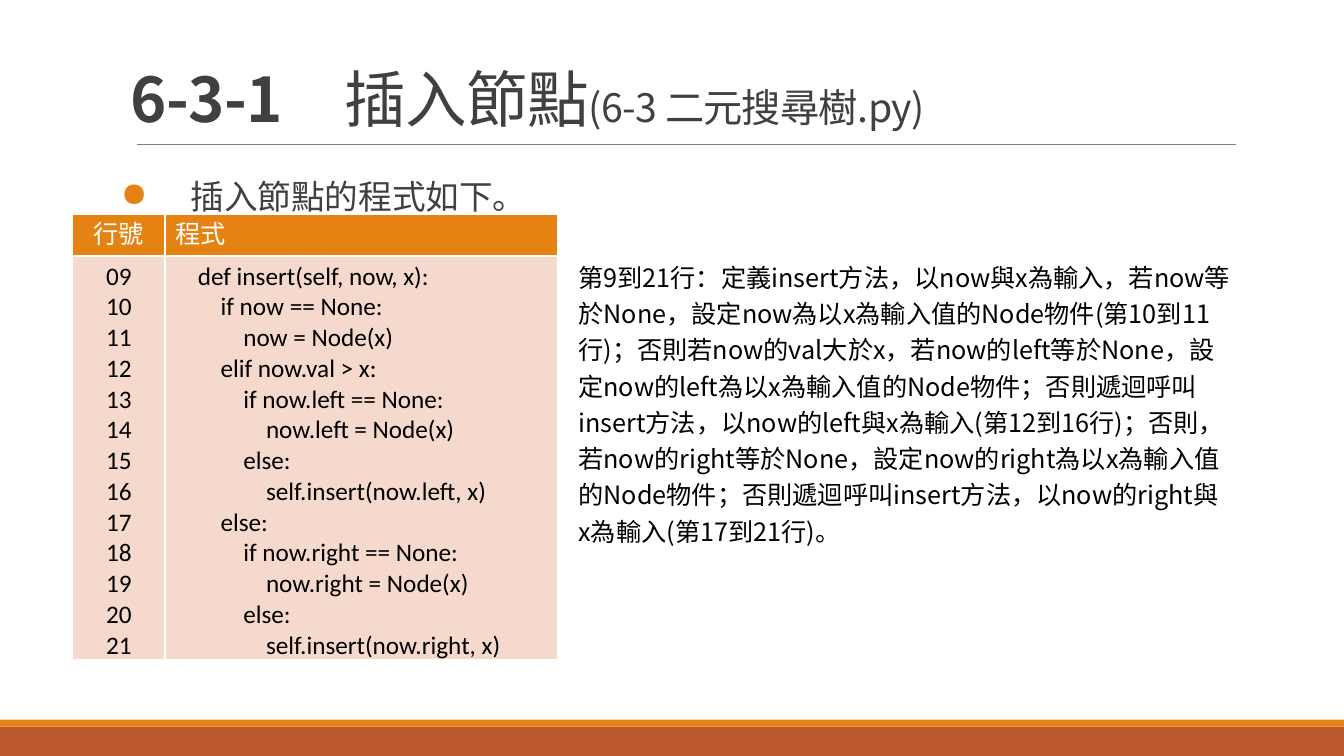
from lxml import etree
from pptx import Presentation
from pptx.dml.color import RGBColor
from pptx.enum.shapes import MSO_CONNECTOR, MSO_SHAPE
from pptx.enum.text import MSO_ANCHOR, PP_ALIGN
from pptx.oxml.ns import qn
from pptx.util import Pt

RECTANGLE = MSO_SHAPE.RECTANGLE
STRAIGHT = MSO_CONNECTOR.STRAIGHT
BOTTOM = MSO_ANCHOR.BOTTOM
LEFT, CENTER = PP_ALIGN.LEFT, PP_ALIGN.CENTER

ORANGE = RGBColor(0xE4, 0x83, 0x12)
RUST = RGBColor(0xBD, 0x58, 0x2C)
PINK = RGBColor(0xF5, 0xD9, 0xCC)
CHARCOAL = RGBColor(0x40, 0x40, 0x40)
GRAY = RGBColor(0x80, 0x80, 0x80)
BLACK = RGBColor(0, 0, 0)
WHITE = RGBColor(0xFF, 0xFF, 0xFF)

HEADING_FONT = "Noto Sans CJK SC"
CODE_FONT = "Calibri"

FIRST_LINE = 9
CODE = """\
    def insert(self, now, x):
        if now == None:
            now = Node(x)
        elif now.val > x:
            if now.left == None:
                now.left = Node(x)
            else:
                self.insert(now.left, x)
        else:
            if now.right == None:
                now.right = Node(x)
            else:
                self.insert(now.right, x)"""

EXPLANATION = (
    "第9到21行：定義insert方法，以now與x為輸入，若now等於None，"
    "設定now為以x為輸入值的Node物件(第10到11行)；否則若now的val大於x，"
    "若now的left等於None，設定now的left為以x為輸入值的Node物件；"
    "否則遞迴呼叫insert方法，以now的left與x為輸入(第12到16行)；"
    "否則，若now的right等於None，設定now的right為以x為輸入值的Node物件；"
    "否則遞迴呼叫insert方法，以now的right與x為輸入(第17到21行)。"
)


def style_paragraph(para, font_name, size, color):
    """Set the paragraph's font for both Latin and East Asian text."""
    font = para.font
    font.name, font.size = font_name, Pt(size)
    font.color.rgb = color
    properties = para._p.pPr.find(qn("a:defRPr"))
    latin = properties.find(qn("a:latin"))
    east_asian = etree.Element(qn("a:ea"), typeface=font_name)
    latin.addnext(east_asian)


def add_text_box(page, left, top, width, height):
    box = page.shapes.add_textbox(Pt(left), Pt(top), Pt(width), Pt(height))
    box.text_frame.word_wrap = True
    return box.text_frame


def add_band(page, top, height, color):
    band = page.shapes.add_shape(RECTANGLE, 0, Pt(top), Pt(960), Pt(height))
    band.shadow.inherit = False
    band.fill.solid()
    band.fill.fore_color.rgb = color
    band.line.fill.background()


def add_rule(page, left, right, y):
    rule = page.shapes.add_connector(STRAIGHT, Pt(left), Pt(y), Pt(right), Pt(y))
    rule.line.color.rgb = GRAY
    rule.line.width = Pt(0.5)
    etree.SubElement(rule._element.spPr, qn("a:effectLst"))


def add_title(page):
    frame = add_text_box(page, 86.4, 22.3, 792, 77.8)
    frame.vertical_anchor = BOTTOM
    para = frame.paragraphs[0]
    para.line_spacing = 0.85
    style_paragraph(para, HEADING_FONT, 44, CHARCOAL)
    for text, size, bold in (
        ("6-3-1\u3000", 44, True),
        ("插入節點", 44, False),
        ("(6-3 二元搜尋樹.py)", 28, False),
    ):
        span = para.add_run()
        span.text = text
        span.font.size, span.font.bold = Pt(size), bold
        span.font._element.set("spc", "-50")


def add_bullet(para, indent, symbol, color):
    properties = para._p.get_or_add_pPr()
    properties.set("marL", str(Pt(indent)))
    properties.set("indent", str(-Pt(indent)))
    bullet_color = etree.SubElement(properties, qn("a:buClr"))
    etree.SubElement(bullet_color, qn("a:srgbClr"), val=str(color))
    etree.SubElement(properties, qn("a:buChar"), char=symbol)


def add_lead(page):
    frame = add_text_box(page, 86.4, 108, 792, 414)
    frame.margin_left = frame.margin_right = 0
    para = frame.paragraphs[0]
    para.text = "插入節點的程式如下。"
    para.line_spacing = 1.5
    add_bullet(para, 49.7, "●", ORANGE)
    style_paragraph(para, HEADING_FONT, 24, CHARCOAL)


def add_explanation(page):
    frame = add_text_box(page, 406.1, 179.3, 480.2, 216.7)
    para = frame.paragraphs[0]
    para.text = EXPLANATION
    para.line_spacing = 1.2
    style_paragraph(para, HEADING_FONT, 18, BLACK)


def add_borders(cell):
    properties = cell._tc.get_or_add_tcPr()
    for side in ("lnL", "lnR", "lnT", "lnB"):
        line = etree.SubElement(properties, qn(f"a:{side}"), w=str(Pt(1)))
        fill = etree.SubElement(line, qn("a:solidFill"))
        etree.SubElement(fill, qn("a:srgbClr"), val=str(WHITE))


def fill_cell(cell, text, align, color, background):
    cell.margin_bottom = 0
    add_borders(cell)
    cell.fill.solid()
    cell.fill.fore_color.rgb = background
    cell.text = text
    for para in cell.text_frame.paragraphs:
        para.alignment = align
        style_paragraph(para, CODE_FONT, 18, color)


def add_code_table(page):
    frame = page.shapes.add_table(2, 2, Pt(52), Pt(153.4), Pt(346.5), Pt(317.5))
    table = frame.table
    for column, width in zip(table.columns, (65.9, 280.6)):
        column.width = Pt(width)
    for row, height in zip(table.rows, (29.5, 288)):
        row.height = Pt(height)
    line_count = len(CODE.splitlines())
    numbers = "\n".join(f"{FIRST_LINE + i:02}" for i in range(line_count))
    columns = (("行號", numbers, CENTER), ("程式", CODE, LEFT))
    for index, (heading, content, align) in enumerate(columns):
        fill_cell(table.cell(0, index), heading, align, WHITE, ORANGE)
        fill_cell(table.cell(1, index), content, align, BLACK, PINK)


def main():
    deck = Presentation()
    deck.slide_width, deck.slide_height = Pt(960), Pt(540)
    page = deck.slides.add_slide(deck.slide_layouts[6])
    add_band(page, 519, 21, RUST)
    add_band(page, 514, 5, ORANGE)
    add_rule(page, 98, 883, 103)
    add_title(page)
    add_lead(page)
    add_explanation(page)
    add_code_table(page)
    deck.save("out.pptx")


if __name__ == "__main__":
    main()
